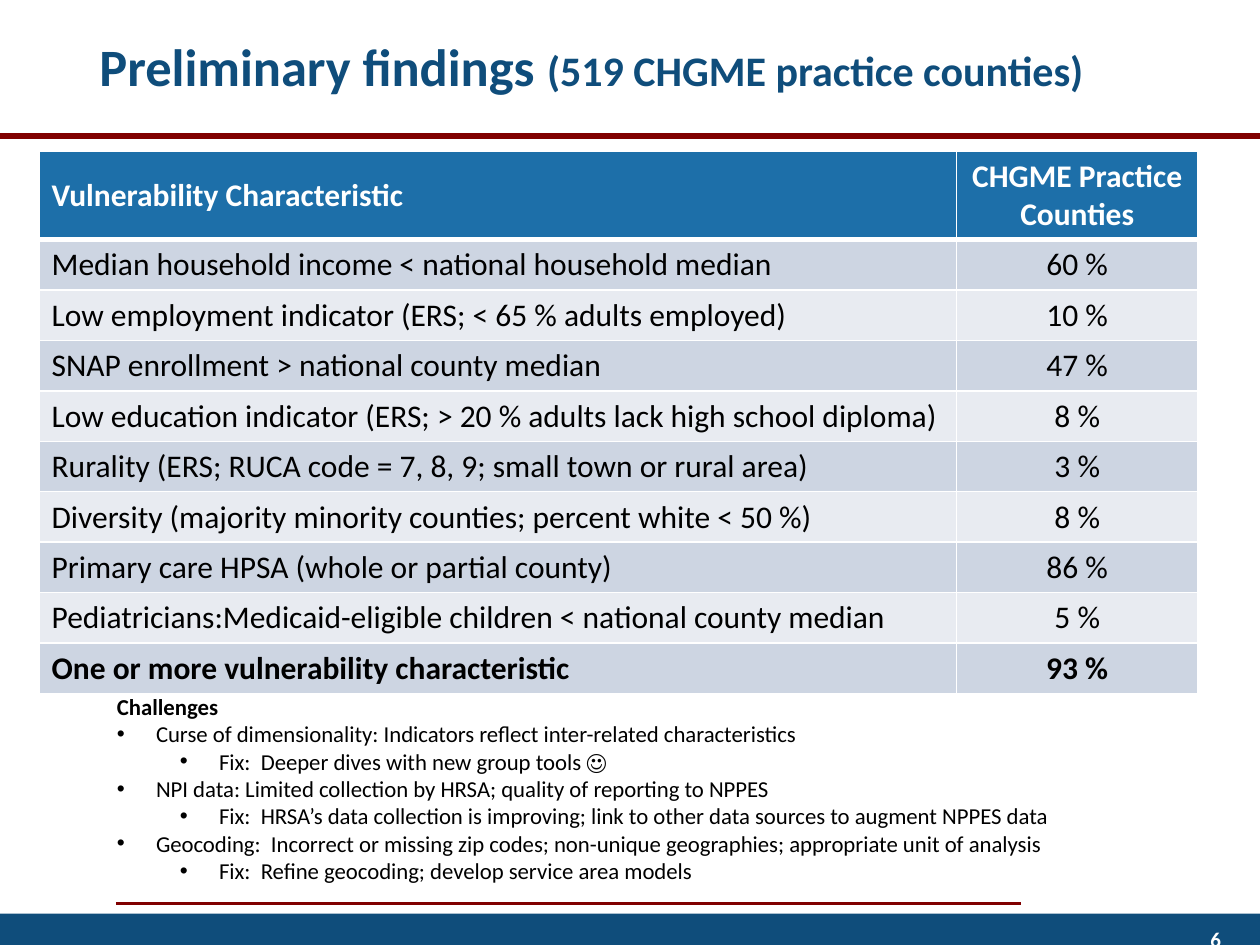
from dataclasses import dataclass

from lxml import etree
from pptx import Presentation
from pptx import util as u
from pptx.dml.color import RGBColor
from pptx.enum import shapes, text
from pptx.oxml import ns


@dataclass(frozen=True)
class Theme:
    font: str = "Calibri"
    navy: str = "0F4D7B"
    maroon: str = "800000"
    header: str = "1D6FA9"
    bands: tuple = ("CDD5E2", "E8EBF1")
    white: str = "FFFFFF"
    black: str = "000000"
    title_size: int = 30
    subtitle_size: int = 24
    table_size: int = 18
    challenge_size: int = 13
    page_size: int = 12


THEME = Theme()

HEADINGS = ("Vulnerability Characteristic", "CHGME Practice Counties")
FINDINGS = [
    ("Median household income < national household median", "60 %"),
    ("Low employment indicator (ERS; < 65 % adults employed)", "10 %"),
    ("SNAP enrollment > national county median", "47 %"),
    ("Low education indicator (ERS; > 20 % adults lack high school diploma)", "8 %"),
    ("Rurality (ERS; RUCA code = 7, 8, 9; small town or rural area)", "3 %"),
    ("Diversity (majority minority counties; percent white < 50 %)", "8 %"),
    ("Primary care HPSA (whole or partial county)", "86 %"),
    ("Pediatricians:Medicaid-eligible children < national county median", "5 %"),
    ("One or more vulnerability characteristic", "93 %"),
]
CHALLENGES = [
    ("Curse of dimensionality: Indicators reflect inter-related characteristics",
     "Fix:  Deeper dives with new group tools ☺"),
    ("NPI data: Limited collection by HRSA; quality of reporting to NPPES",
     "Fix:  HRSA’s data collection is improving; link to other data sources to augment NPPES data"),
    ("Geocoding:  Incorrect or missing zip codes; non-unique geographies; appropriate unit of analysis",
     "Fix:  Refine geocoding; develop service area models"),
]


def add_run(paragraph, words, size, color, bold=False):
    run = paragraph.add_run()
    run.text = words
    formats = {"name": THEME.font, "size": u.Pt(size), "bold": bold}
    for key, value in formats.items():
        setattr(run.font, key, value)
    run.font.color.rgb = RGBColor.from_string(color)


def add_text_frame(slide, left, top, width, height, **formats):
    box = slide.shapes.add_textbox(*map(u.Inches, (left, top, width, height)))
    for key, value in {"word_wrap": True, **formats}.items():
        setattr(box.text_frame, key, value)
    return box.text_frame


def add_rule(slide, left, right, y, weight):
    rule = slide.shapes.add_connector(
        shapes.MSO_CONNECTOR.STRAIGHT, *map(u.Inches, (left, y, right, y)))
    rule.line.color.rgb = RGBColor.from_string(THEME.maroon)
    rule.line.width = u.Pt(weight)
    etree.SubElement(rule._element.spPr, ns.qn("a:effectLst"))


def add_footer_band(slide):
    band = slide.shapes.add_shape(
        shapes.MSO_SHAPE.RECTANGLE, *map(u.Inches, (0, 7.25, 10, 0.25)))
    band.shadow.inherit = False
    band.fill.solid()
    band.fill.fore_color.rgb = RGBColor.from_string(THEME.navy)
    band.line.fill.background()


def add_title(slide):
    frame = add_text_frame(slide, 0.69, -0.17, 8.62, 1.45,
                           vertical_anchor=text.MSO_ANCHOR.MIDDLE)
    title = frame.paragraphs[0]
    title.line_spacing = 0.9
    add_run(title, "Preliminary findings ", THEME.title_size, THEME.navy, True)
    add_run(title, "(519 CHGME practice counties)", THEME.subtitle_size, THEME.navy, True)


def set_borders(cell, top, bottom):
    properties = cell._tc.get_or_add_tcPr()
    for side, weight in {"L": 1, "R": 1, "T": top, "B": bottom}.items():
        border = etree.SubElement(properties, ns.qn(f"a:ln{side}"), w=str(u.Pt(weight)))
        fill = etree.SubElement(border, ns.qn("a:solidFill"))
        etree.SubElement(fill, ns.qn("a:srgbClr"), val=THEME.white)


def add_findings_table(slide):
    rows = [HEADINGS, *FINDINGS]
    table = slide.shapes.add_table(
        len(rows), 2, *map(u.Inches, (0.31, 1.2, 9.2, 4.3))).table
    for column, width in zip(table.columns, (7.28, 1.92)):
        column.width = u.Inches(width)

    for r, row in enumerate(rows):
        is_header = r == 0
        table.rows[r].height = u.Inches(0.69 if is_header else 0.4)
        fill = THEME.header if is_header else THEME.bands[(r - 1) % 2]
        color = THEME.white if is_header else THEME.black
        bold = r in (0, len(rows) - 1)
        for c, words in enumerate(row):
            cell = table.cell(r, c)
            # The heavy line lies between the header and the first finding
            set_borders(cell, top=3 if r == 1 else 1, bottom=3 if is_header else 1)
            cell.fill.solid()
            cell.fill.fore_color.rgb = RGBColor.from_string(fill)
            if is_header:
                cell.vertical_anchor = text.MSO_ANCHOR.MIDDLE
            paragraph = cell.text_frame.paragraphs[0]
            if c == 1:
                paragraph.alignment = text.PP_ALIGN.CENTER
            add_run(paragraph, words, THEME.table_size, color, bold)


def add_bullet(frame, words, level):
    paragraph = frame.add_paragraph()
    paragraph.level = level
    properties = paragraph._p.get_or_add_pPr()
    indents = {"marL": 0.31 + 0.5 * level, "indent": -0.31}
    for key, value in indents.items():
        properties.set(key, str(u.Inches(value)))
    etree.SubElement(properties, ns.qn("a:buFont"), typeface="Arial")
    etree.SubElement(properties, ns.qn("a:buChar"), char="•")
    add_run(paragraph, words, THEME.challenge_size, THEME.black)


def add_challenges(slide):
    frame = add_text_frame(slide, 0.83, 5.45, 8.42, 1.63,
                           auto_size=text.MSO_AUTO_SIZE.SHAPE_TO_FIT_TEXT)
    add_run(frame.paragraphs[0], "Challenges", THEME.challenge_size, THEME.black, True)
    for challenge, fix in CHALLENGES:
        add_bullet(frame, challenge, 0)
        add_bullet(frame, fix, 1)


def add_page_number(slide):
    frame = add_text_frame(slide, 9.17, 7.25, 0.67, 0.4, margin_right=u.Inches(0.15),
                           vertical_anchor=text.MSO_ANCHOR.MIDDLE)
    number = frame.paragraphs[0]
    number.alignment = text.PP_ALIGN.RIGHT
    add_run(number, "6", THEME.page_size, THEME.white, True)


def main():
    deck = Presentation()
    deck.slide_width, deck.slide_height = u.Inches(10), u.Inches(7.5)
    slide = deck.slides.add_slide(deck.slide_layouts[6])

    # Page frame
    add_rule(slide, 0, 10, 1.08, 3)
    add_rule(slide, 0.92, 8.1, 7.17, 1.5)
    add_footer_band(slide)

    # Content
    add_title(slide)
    add_findings_table(slide)
    add_page_number(slide)
    add_challenges(slide)

    deck.save("out.pptx")


if __name__ == "__main__":
    main()
